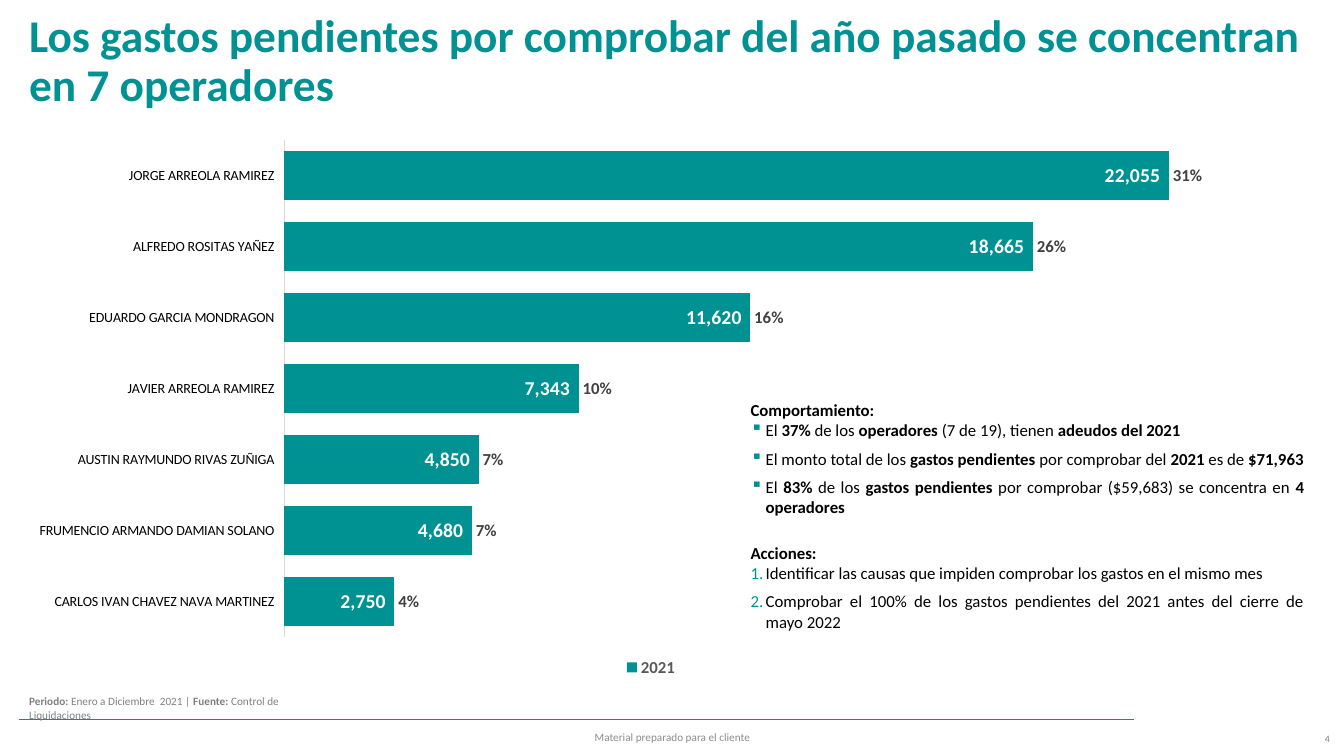
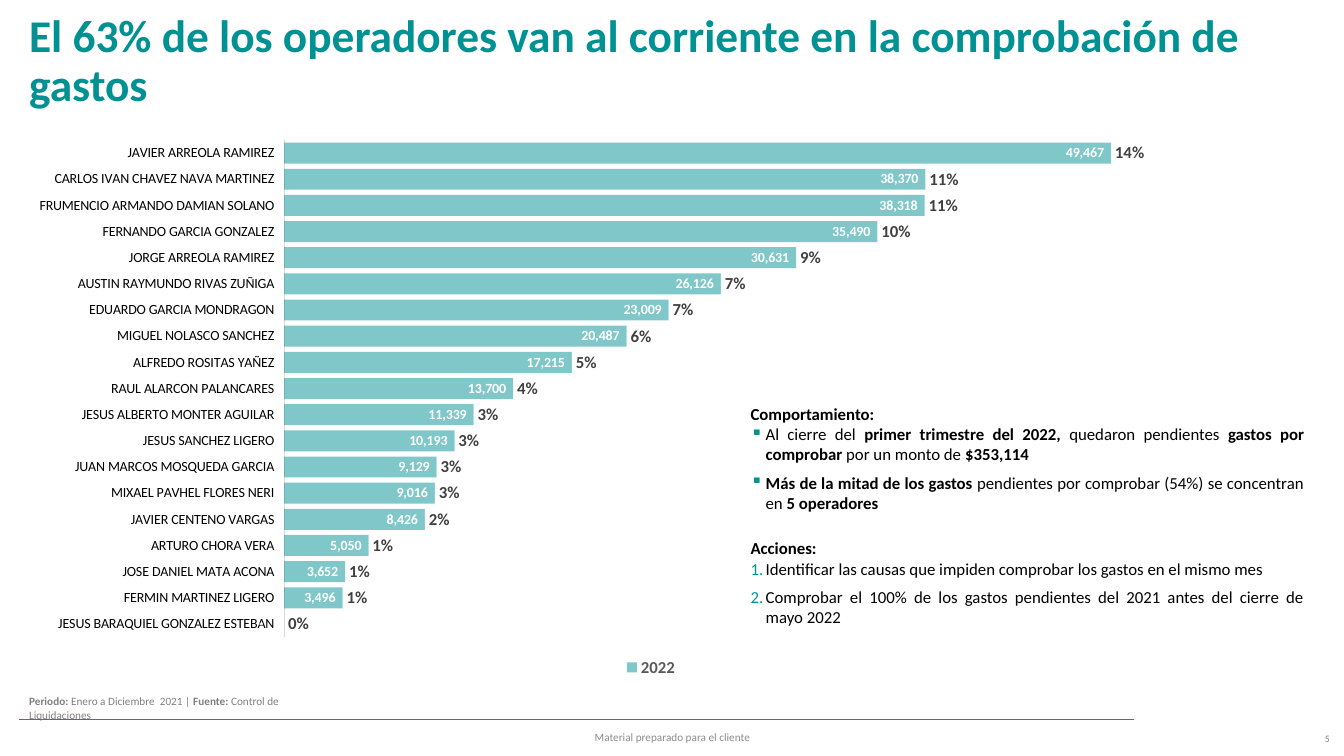
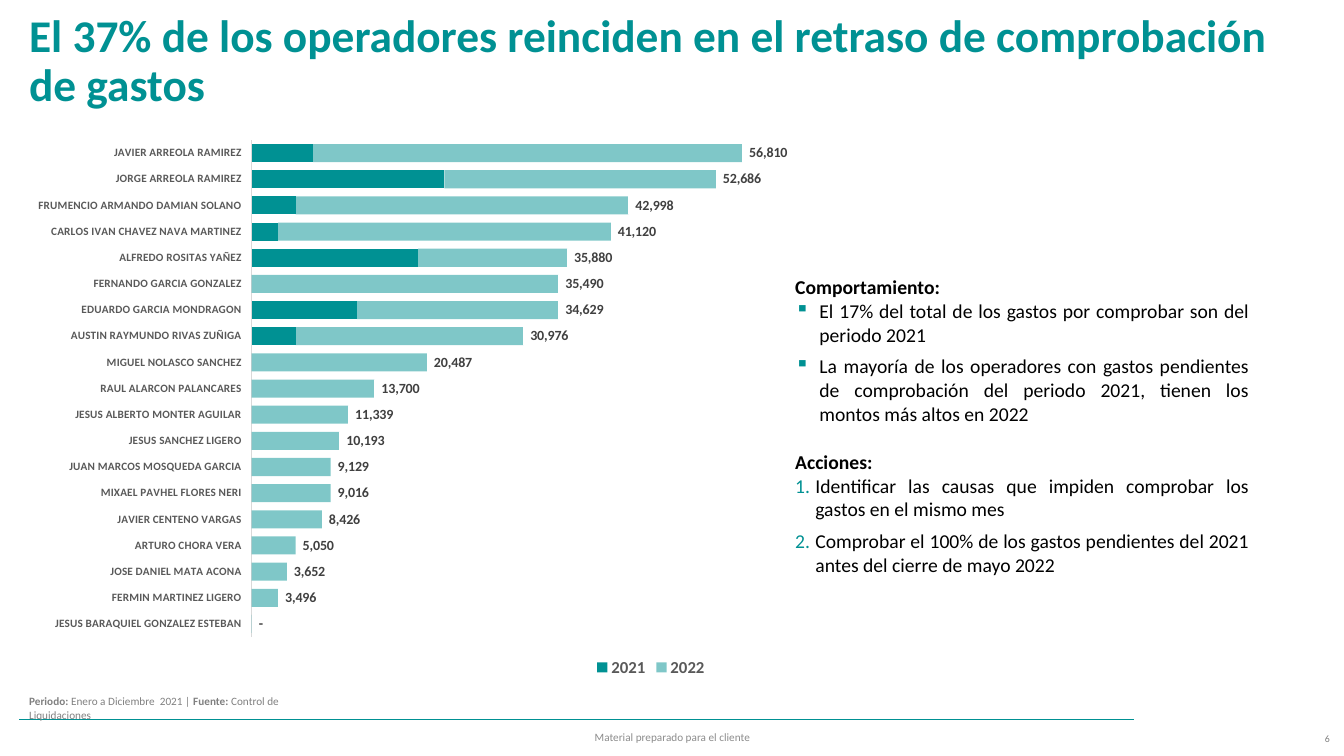
from lxml.etree import SubElement
from pptx import Presentation
from pptx.chart.data import CategoryChartData
from pptx.dml.color import RGBColor
from pptx.enum.chart import XL_CHART_TYPE as ChartType, XL_LABEL_POSITION as LabelPos
from pptx.enum.chart import XL_LEGEND_POSITION as LegendPos, XL_TICK_MARK as TickMark
from pptx.enum.chart import XL_TICK_LABEL_POSITION as TickLabelPos
from pptx.enum.shapes import MSO_CONNECTOR as Connector, MSO_SHAPE as Shape
from pptx.enum.text import MSO_ANCHOR as Anchor, PP_ALIGN as Align
from pptx.oxml import parse_xml
from pptx.oxml.ns import nsdecls, qn
from pptx.util import Inches, Pt

FONT = "Calibri"
TEAL, BLACK, WHITE = "009193", "000000", "FFFFFF"
DARK, MEDIUM, GREY, LIGHT = "404040", "595959", "808080", "D9D9D9"
AMOUNT = '_-* #,##0_-;\\-* #,##0_-;_-* "-"??_-;_-@_'
PERCENT = "0%"

PENDING_2021 = {
    "CARLOS IVAN CHAVEZ NAVA MARTINEZ": 2750,
    "FRUMENCIO ARMANDO DAMIAN SOLANO": 4680,
    "AUSTIN RAYMUNDO RIVAS ZUÑIGA": 4850,
    "JAVIER ARREOLA RAMIREZ": 7343,
    "EDUARDO GARCIA MONDRAGON": 11620,
    "ALFREDO ROSITAS YAÑEZ": 18665,
    "JORGE ARREOLA RAMIREZ": 22055,
}
PENDING_2022 = {
    "JESUS BARAQUIEL GONZALEZ ESTEBAN": 0,
    "FERMIN MARTINEZ LIGERO": 3496,
    "JOSE DANIEL MATA ACONA": 3652,
    "ARTURO CHORA VERA": 5050,
    "JAVIER CENTENO VARGAS": 8426,
    "MIXAEL PAVHEL FLORES NERI": 9016,
    "JUAN MARCOS MOSQUEDA GARCIA": 9129,
    "JESUS SANCHEZ LIGERO": 10193,
    "JESUS ALBERTO MONTER AGUILAR": 11339,
    "RAUL ALARCON PALANCARES": 13700,
    "ALFREDO ROSITAS YAÑEZ": 17215,
    "MIGUEL NOLASCO SANCHEZ": 20487,
    "EDUARDO GARCIA MONDRAGON": 23009,
    "AUSTIN RAYMUNDO RIVAS ZUÑIGA": 26126,
    "JORGE ARREOLA RAMIREZ": 30631,
    "FERNANDO GARCIA GONZALEZ": 35490,
    "FRUMENCIO ARMANDO DAMIAN SOLANO": 38318,
    "CARLOS IVAN CHAVEZ NAVA MARTINEZ": 38370,
    "JAVIER ARREOLA RAMIREZ": 49467,
}
ACTIONS = [
    "Identificar las causas que impiden comprobar los gastos en el mismo mes",
    "Comprobar el 100% de los gastos pendientes del 2021 antes del cierre de mayo 2022",
]


def rgb(color):
    """Turn a hex string into a colour."""
    return RGBColor.from_string(color)


def style_font(font, size, color, bold=False):
    """Set the typeface, size, weight and colour of a font."""
    for name, value in {"name": FONT, "size": Pt(size), "bold": bold}.items():
        setattr(font, name, value)
    font.color.rgb = rgb(color)


def write(para, text, size, color):
    """Write text into a paragraph; parts between ** are bold."""
    for index, part in enumerate(text.split("**")):
        if part:
            span = para.add_run()
            span.text = part
            style_font(span.font, size, color, index % 2 == 1)


def add_text(page, box, text, size, color, align=Align.LEFT, anchor=Anchor.MIDDLE):
    """Add a one-paragraph text box and return its paragraph."""
    frame = page.shapes.add_textbox(*map(Inches, box)).text_frame
    frame.word_wrap, frame.vertical_anchor = True, anchor
    para = frame.paragraphs[0]
    para.alignment = align
    write(para, text, size, color)
    return para


def add_page(deck, title, number):
    """Add a slide with the shared title, rule, source and footer."""
    page = deck.slides.add_slide(deck.slide_layouts[6])
    rule = page.shapes.add_connector(
        Connector.STRAIGHT, *map(Inches, (0.19, 7.14, 11.25, 7.14)))
    rule.line.color.rgb, rule.line.width = rgb(TEAL), Pt(0.5)
    SubElement(rule._element.spPr, qn("a:effectLst"))
    heading = add_text(page, (0.19, 0.15, 12.82, 0.94), f"**{title}**", 32.4, TEAL)
    heading.line_spacing = 0.9
    add_text(page, (4.42, 7.11, 4.5, 0.4), "Material preparado para el cliente", 8, "8C8C8C",
             Align.CENTER)
    add_text(page, (12.97, 7.19, 0.39, 0.28), str(number), 7, GREY, Align.CENTER)
    add_text(page, (0.19, 6.84, 3.3, 0.24),
             "**Periodo: **Enero a Diciembre  2021 | **Fuente:** Control de Liquidaciones",
             8, GREY, anchor=Anchor.TOP)
    return page


def add_bullet(para, indent, numbered):
    """Give a paragraph a hanging teal square or number."""
    props = para._p.get_or_add_pPr()
    props.set("marL", str(Inches(indent)))
    props.set("indent", str(-Inches(indent)))
    SubElement(SubElement(props, qn("a:buClr")), qn("a:srgbClr")).set("val", TEAL)
    if numbered:
        SubElement(props, qn("a:buAutoNum")).set("type", "arabicPeriod")
    else:
        SubElement(props, qn("a:buChar")).set("char", "▪")


def add_findings(page, box, behaviour, size, bullet_indent, number_indent):
    """Add the panel with the behaviour bullets and numbered actions."""
    panel = page.shapes.add_shape(Shape.ROUNDED_RECTANGLE, *map(Inches, box))
    panel.adjustments[0] = 0.114
    panel.shadow.inherit = False
    panel.fill.background()
    panel.line.fill.background()
    frame = panel.text_frame
    layout = {"word_wrap": True, "vertical_anchor": Anchor.MIDDLE,
              "margin_left": Inches(0.16), "margin_right": Inches(0.16),
              "margin_top": Inches(0.08), "margin_bottom": Inches(0.08)}
    for name, value in layout.items():
        setattr(frame, name, value)
    sections = [("Comportamiento:", behaviour, bullet_indent, False, 18),
                ("Acciones:", ACTIONS, number_indent, True, 0)]
    para = frame.paragraphs[0]
    for heading, items, indent, numbered, last_gap in sections:
        if numbered:
            para = frame.add_paragraph()
        para.alignment = Align.JUSTIFY
        write(para, f"**{heading}**", size, BLACK)
        for item in items:
            para = frame.add_paragraph()
            para.alignment = Align.JUSTIFY
            para.space_after = Pt(last_gap if item == items[-1] else 6)
            add_bullet(para, indent, numbered)
            write(para, item, size, BLACK)


def place_plot(chart, left, width):
    """Fix the inner plot area as fractions of the chart."""
    area = chart._chartSpace.chart.plotArea
    for layout in area.findall(qn("c:layout")):
        area.remove(layout)
    sizes = {"x": left, "y": 0.02, "w": width, "h": 0.9}
    values = "".join(f'<c:{key} val="{value}"/>' for key, value in sizes.items())
    area.insert(0, parse_xml(
        f'<c:layout {nsdecls("c")}><c:manualLayout><c:layoutTarget val="inner"/>'
        f'<c:xMode val="edge"/><c:yMode val="edge"/>{values}</c:manualLayout></c:layout>'))


def fill_series(series, color, alpha):
    """Fill a series, or leave it clear when it has no colour."""
    if color is None:
        series.format.fill.background()
        return
    series.format.fill.solid()
    series.format.fill.fore_color.rgb = rgb(color)
    if alpha < 100:
        tone = series._element.find(".//" + qn("a:srgbClr"))
        SubElement(tone, qn("a:alpha")).set("val", str(alpha * 1000))


def label_series(series, size, color, position, number_format):
    """Show bold values on a series."""
    labels = series.data_labels
    settings = {"show_value": True, "position": position,
                "number_format": number_format, "number_format_is_linked": False}
    for name, value in settings.items():
        setattr(labels, name, value)
    style_font(labels.font, size, color, True)


def add_bars(page, names, series_list, gap, maximum, plot, axis_font):
    """Add a stacked bar chart; each series is (name, values, color, alpha, labels)."""
    data = CategoryChartData()
    data.categories = names
    for name, values, *_ in series_list:
        data.add_series(name, values)
    box = map(Inches, (0.19, 1.28, 12.82, 5.48))
    chart = page.shapes.add_chart(ChartType.BAR_STACKED, *box, data).chart
    style_font(chart.font, 10, BLACK)
    chart.has_title = False
    chart.has_legend = True
    chart.legend.position, chart.legend.include_in_layout = LegendPos.BOTTOM, False
    style_font(chart.legend.font, 12, MEDIUM, True)
    names_axis, values_axis = chart.category_axis, chart.value_axis
    names_axis.major_tick_mark = TickMark.NONE
    names_axis.tick_label_position = TickLabelPos.LOW
    names_axis.format.line.color.rgb = rgb(LIGHT)
    names_axis.format.line.width = Pt(0.75)
    style_font(names_axis.tick_labels.font, *axis_font)
    for name, value in {"visible": False, "has_major_gridlines": False,
                        "minimum_scale": 0, "maximum_scale": maximum}.items():
        setattr(values_axis, name, value)
    bars = chart.plots[0]
    bars.gap_width, bars.overlap, bars.vary_by_categories = gap, 100, False
    for series, (_, _, color, alpha, labels) in zip(bars.series, series_list):
        fill_series(series, color, alpha)
        if labels:
            label_series(series, *labels)
    place_plot(chart, *plot)


def add_year_bars(page, year, pending, alpha, label_size, share_color, gap, maximum):
    """Chart one year's amounts with each operator's share beside the bar."""
    total = sum(pending.values())
    shares = [round(amount / total, 2) for amount in pending.values()]
    add_bars(page, list(pending), [
        (year, list(pending.values()), TEAL, alpha,
         (label_size, WHITE, LabelPos.INSIDE_END, AMOUNT)),
        (" ", shares, share_color, 100, (12, DARK, LabelPos.INSIDE_BASE, PERCENT)),
    ], gap, maximum, (0.205, 0.776), (10, BLACK))


def add_both_years_bars(page):
    """Chart both years in thousands with the exact total beside each bar."""
    totals = {name: amount + PENDING_2021.get(name, 0)
              for name, amount in PENDING_2022.items()}
    names = sorted(totals, key=totals.get)
    add_bars(page, names, [
        ("2021", [round(PENDING_2021.get(name, 0), -3) for name in names], TEAL, 100, None),
        ("2022", [round(PENDING_2022[name], -3) for name in names], TEAL, 50, None),
        (" ", [totals[name] for name in names], WHITE, 100,
         (10, DARK, LabelPos.INSIDE_BASE, AMOUNT)),
    ], 45, 120000, (0.18, 0.813), (8, MEDIUM, True))


def main():
    """Build the three slides and save the deck."""
    deck = Presentation()
    deck.slide_width, deck.slide_height = Inches(13.33), Inches(7.5)
    year_panel = (7.21, 4, 5.96, 2.23)

    page = add_page(deck, "Los gastos pendientes por comprobar del año pasado "
                          "se concentran en 7 operadores", 4)
    add_year_bars(page, "2021", PENDING_2021, 100, 14, None, 45, 25000)
    add_findings(page, year_panel, [
        "El **37% **de los **operadores** (7 de 19), tienen **adeudos del 2021**",
        "El monto total de los **gastos pendientes** por comprobar del **2021** "
        "es de **$71,963**",
        "El **83%** de los **gastos pendientes** por comprobar ($59,683) "
        "se concentra en **4 operadores**",
    ], 12, 0.15, 0.15)

    page = add_page(deck, "El 63% de los operadores van al corriente "
                          "en la comprobación de gastos", 5)
    add_year_bars(page, "2022", PENDING_2022, 50, 10, WHITE, 25, 60000)
    add_findings(page, year_panel, [
        "Al cierre del **primer trimestre del 2022, **quedaron pendientes "
        "**gastos por comprobar **por un monto de **$353,114**",
        "**Más de la mitad de los gastos **pendientes por comprobar (54%) "
        "se concentran en **5 operadores**",
    ], 12, 0.15, 0.15)

    page = add_page(deck, "El 37% de los operadores reinciden en el retraso "
                          "de comprobación de gastos", 6)
    add_both_years_bars(page)
    add_findings(page, (7.61, 2.46, 5.06, 3.53), [
        "El 17% del total de los gastos por comprobar son del periodo 2021",
        "La mayoría de los operadores con gastos pendientes de comprobación "
        "del periodo 2021, tienen los montos más altos en 2022",
    ], 14, 0.24, 0.2)

    deck.save("out.pptx")


main()
